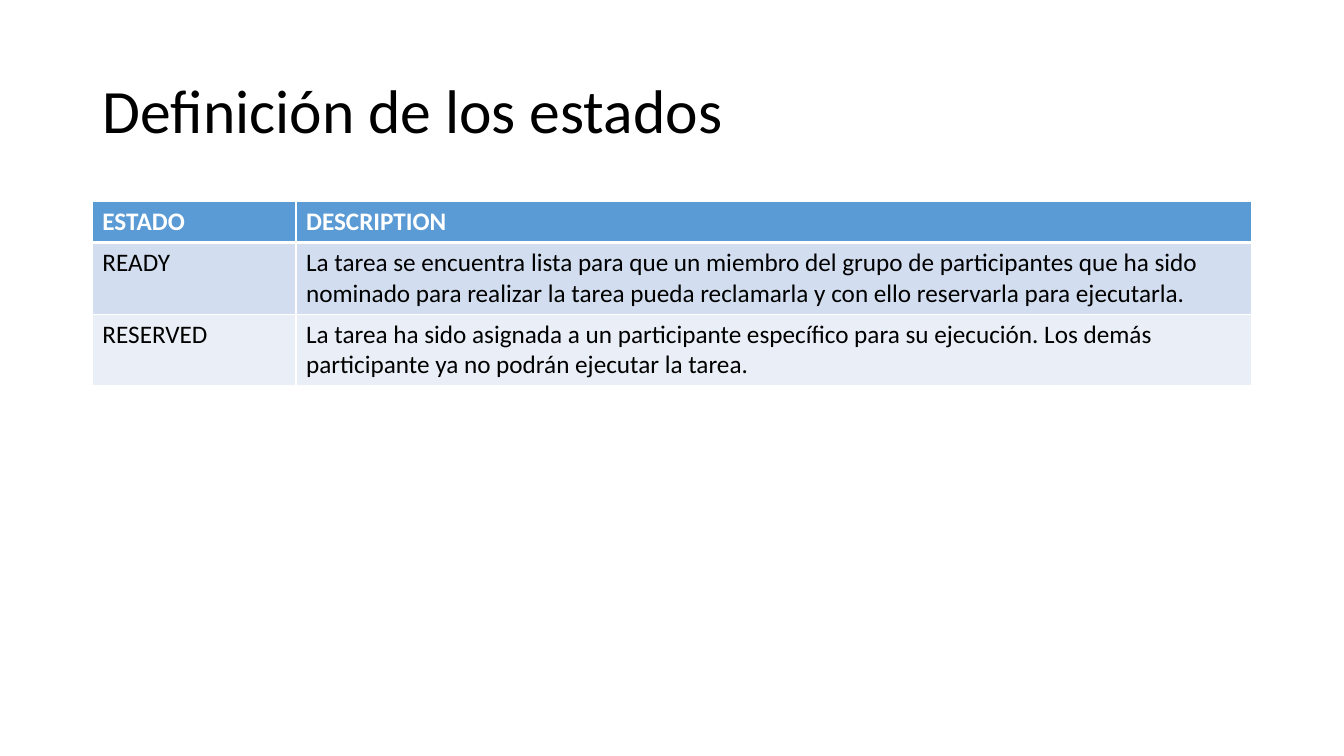
from lxml.etree import SubElement
from pptx import Presentation
from pptx.dml.color import RGBColor
from pptx.enum.text import MSO_ANCHOR, PP_ALIGN
from pptx.oxml.ns import qn
from pptx.util import Pt

TITLE = "Definición de los estados"
STATES = [
    ("ESTADO", "DESCRIPTION"),
    ("READY", "La tarea se encuentra lista para que un miembro del grupo de "
              "participantes que ha sido nominado para realizar la tarea pueda "
              "reclamarla y con ello reservarla para ejecutarla."),
    ("RESERVED", "La tarea ha sido asignada a un participante específico para su "
                 "ejecución. Los demás participante ya no podrán ejecutar la tarea."),
]

FONT = "Calibri"
BLACK = RGBColor(0x00, 0x00, 0x00)
WHITE = RGBColor(0xFF, 0xFF, 0xFF)
HEADER_BLUE = RGBColor(0x5B, 0x9B, 0xD5)
BAND_COLORS = [RGBColor(0xD2, 0xDE, 0xEF), RGBColor(0xEA, 0xEF, 0xF7)]

LEFT, WIDTH = 66, 828
TITLE_TOP, TITLE_HEIGHT = 28.75, 104.4
TABLE_TOP = 144
COLUMN_WIDTHS = [145.5, WIDTH - 145.5]
HEADER_HEIGHT, STATE_HEIGHT = 29.2, 50.4
THIN, THICK = 1, 3


def add_run(paragraph, text, size, color, bold=False):
    """Add one formatted run to a paragraph."""
    run = paragraph.add_run()
    run.text = text
    run.font.name = FONT
    run.font.size = Pt(size)
    run.font.bold = bold
    run.font.color.rgb = color


def set_borders(cell, top, bottom):
    """Give a cell white borders, with its own top and bottom widths."""
    properties = cell._tc.get_or_add_tcPr()
    for side, width in (("L", THIN), ("R", THIN), ("T", top), ("B", bottom)):
        line = SubElement(properties, qn(f"a:ln{side}"), w=str(int(Pt(width))))
        fill = SubElement(line, qn("a:solidFill"))
        SubElement(fill, qn("a:srgbClr"), val=str(WHITE))


def add_title(slide):
    """Place and fill the title placeholder."""
    title = slide.shapes.title
    title.left, title.top = Pt(LEFT), Pt(TITLE_TOP)
    title.width, title.height = Pt(WIDTH), Pt(TITLE_HEIGHT)
    title.text_frame.vertical_anchor = MSO_ANCHOR.MIDDLE
    paragraph = title.text_frame.paragraphs[0]
    paragraph.alignment = PP_ALIGN.LEFT
    paragraph.line_spacing = 0.9
    add_run(paragraph, TITLE, 44, BLACK)


def add_state_table(slide):
    """Add the table of states with a header and banded rows."""
    heights = [HEADER_HEIGHT] + [STATE_HEIGHT] * (len(STATES) - 1)
    table = slide.shapes.add_table(
        len(STATES), len(COLUMN_WIDTHS), Pt(LEFT), Pt(TABLE_TOP),
        Pt(WIDTH), Pt(sum(heights))).table
    for column, width in zip(table.columns, COLUMN_WIDTHS):
        column.width = Pt(width)
    for row_index, (texts, height) in enumerate(zip(STATES, heights)):
        table.rows[row_index].height = Pt(height)
        is_header = row_index == 0
        band = BAND_COLORS[(row_index - 1) % len(BAND_COLORS)]
        for column_index, text in enumerate(texts):
            cell = table.cell(row_index, column_index)
            set_borders(cell, THICK if row_index == 1 else THIN,
                        THICK if is_header else THIN)
            cell.fill.solid()
            cell.fill.fore_color.rgb = HEADER_BLUE if is_header else band
            add_run(cell.text_frame.paragraphs[0], text, 18,
                    WHITE if is_header else BLACK, is_header)


presentation = Presentation()
presentation.slide_width, presentation.slide_height = Pt(960), Pt(540)
slide = presentation.slides.add_slide(presentation.slide_layouts.get_by_name("Title Only"))
add_title(slide)
add_state_table(slide)
presentation.save("out.pptx")
